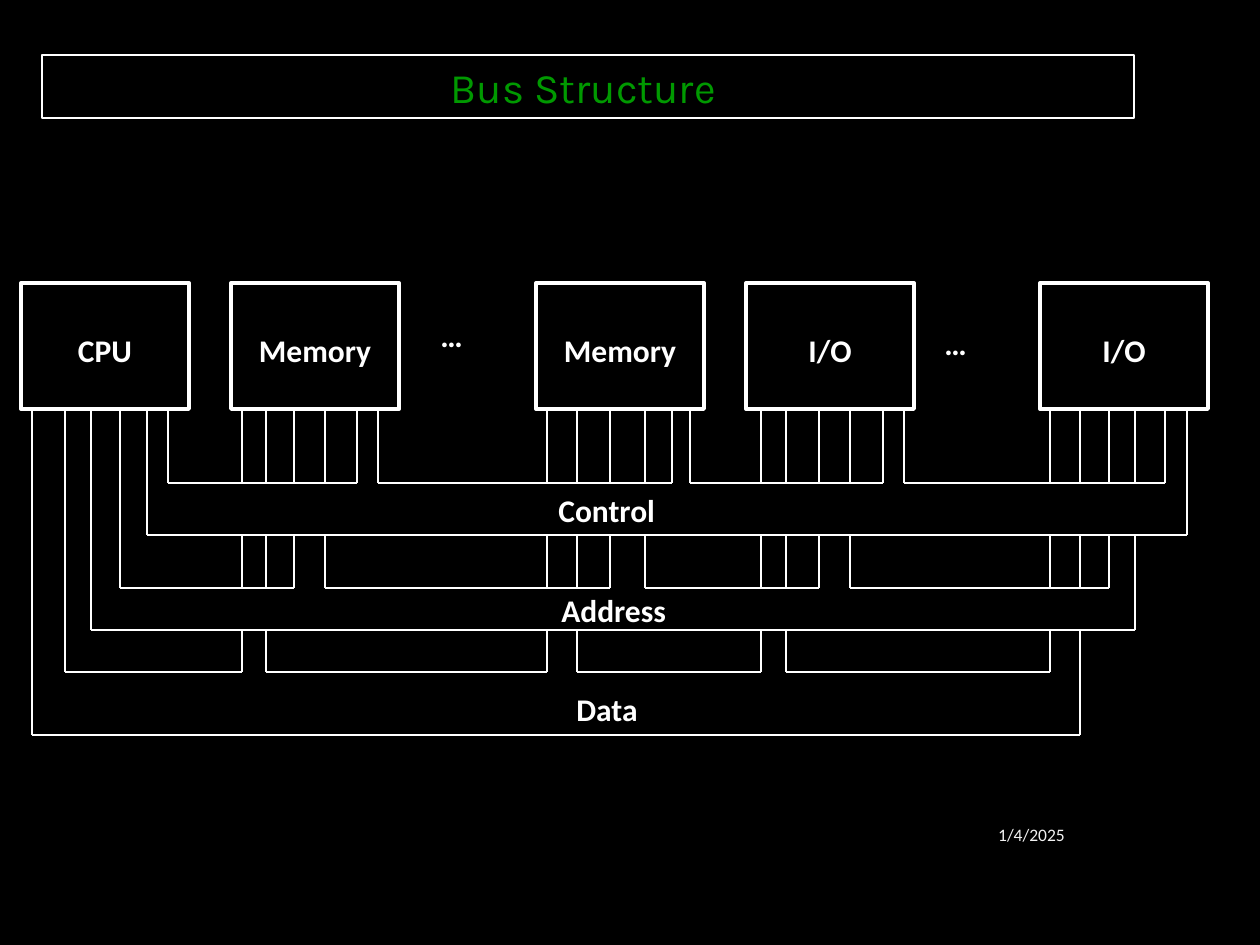
import collections

import pptx
import pptx.dml.color
import pptx.enum.shapes
import pptx.enum.text
import pptx.oxml.ns
import pptx.util
from lxml import etree

EMU_PER_PX = 914400 / 126
ALIGN = pptx.enum.text.PP_ALIGN
ANCHOR = pptx.enum.text.MSO_ANCHOR

THEME = {
    "background": "000000", "line": "FFFFFF", "text": "FFFFFF",
    "title": "009900", "date": "F2F2F2",
    "body_font": "Calibri", "title_font": "Karla",
    "title_size": 24, "label_size": 18, "date_size": 10,
    "frame_width": 2.25, "wire_width": 0.75,
}

Box = collections.namedtuple("Box", "left top width height")
Device = collections.namedtuple("Device", "label left wires")
Bus = collections.namedtuple("Bus", "label top rail bottom taps label_left label_top")

DEVICE_TOP, DEVICE_WIDTH, DEVICE_HEIGHT = 283, 168, 126
DEVICE_BOTTOM = DEVICE_TOP + DEVICE_HEIGHT

# Wires are offsets from the left edge of the device.
DEVICES = [
    Device("CPU", 21, (11, 44, 70, 99, 126, 147)),
    Device("Memory", 231, (11, 35, 63, 94, 126, 147)),
    Device("Memory", 536, (11, 41, 74, 109, 136, 154)),
    Device("I/O", 746, (15, 40, 73, 104, 137, 158)),
    Device("I/O", 1040, (10, 40, 69, 95, 125, 147)),
]
# Each bus taps the first wires of a device; the rest end at a bus above.
BUSES = [
    Bus("Control", DEVICE_BOTTOM, 483, 535, 6, 546, 485),
    Bus("Address", 535, 588, 630, 4, 549, 585),
    Bus("Data", 630, 672, 735, 2, 564, 684),
]
ELLIPSES = [Box(428, 310, 57, 50), Box(932, 318, 57, 50)]


def px(length):
    return pptx.util.Emu(round(length * EMU_PER_PX))


def color(name):
    return pptx.dml.color.RGBColor.from_string(THEME[name])


def place(box):
    return [px(length) for length in box]


def apply_format(target, values):
    for name, value in values.items():
        setattr(target, name, value)


def write_text(shape, text, ink="text", font="body_font", size="label_size",
               bold=True, align=ALIGN.LEFT, anchor=ANCHOR.TOP, wrap=True):
    frame = shape.text_frame
    apply_format(frame, {"word_wrap": wrap, "vertical_anchor": anchor})
    paragraph = frame.paragraphs[0]
    paragraph.alignment = align
    run = paragraph.add_run()
    run.text = text
    apply_format(run.font, {"name": THEME[font], "bold": bold,
                            "size": pptx.util.Pt(THEME[size])})
    run.font.color.rgb = color(ink)


def add_label(slide, box, text, **formats):
    write_text(slide.shapes.add_textbox(*place(box)), text, **formats)


def add_frame(slide, box, width):
    """Draw an unfilled rectangle."""
    shape = slide.shapes.add_shape(
        pptx.enum.shapes.MSO_SHAPE.RECTANGLE, *place(box))
    shape.shadow.inherit = False
    shape.fill.background()
    shape.line.color.rgb = color("line")
    shape.line.width = pptx.util.Pt(THEME[width])
    return shape


def add_wire(slide, x1, y1, x2, y2):
    wire = slide.shapes.add_connector(
        pptx.enum.shapes.MSO_CONNECTOR.STRAIGHT, px(x1), px(y1), px(x2), px(y2))
    wire.line.color.rgb = color("line")
    wire.line.width = pptx.util.Pt(THEME["wire_width"])
    properties = wire.element.find(pptx.oxml.ns.qn("p:spPr"))
    etree.SubElement(properties, pptx.oxml.ns.qn("a:effectLst"))


def add_title(slide, box):
    shape = add_frame(slide, box, "wire_width")
    shape.text_frame.margin_right = px(22)
    write_text(shape, "Bus Structure", ink="title", font="title_font",
               size="title_size", bold=False, align=ALIGN.CENTER,
               anchor=ANCHOR.MIDDLE)


def add_device(slide, box, label):
    add_frame(slide, box, "frame_width")
    add_label(slide, Box(box.left, box.top + 42, box.width, 50), label,
              align=ALIGN.CENTER)


def add_bus(slide, bus, devices):
    """Draw a bus between its rail and its bottom edge.

    The rail runs from the last tap of a device to the last but one of the next.
    """
    cpu, *others = [[device.left + x for x in device.wires] for device in devices]
    first = len(cpu) - sum(b.taps == bus.taps or b.taps > bus.taps for b in BUSES) * 2
    outer, inner = cpu[first:first + 2]
    taps = [xs[:bus.taps] for xs in others]
    right = taps[-1].pop()

    add_wire(slide, outer, DEVICE_BOTTOM, outer, bus.bottom)
    add_wire(slide, inner, DEVICE_BOTTOM, inner, bus.rail)
    for x in sum(taps, []):
        add_wire(slide, x, bus.top, x, bus.rail)
    add_wire(slide, right, bus.top, right, bus.bottom)
    add_wire(slide, outer, bus.bottom, right, bus.bottom)

    starts = [inner] + [xs[-1] for xs in taps[:-1]]
    ends = [xs[-2] for xs in taps[:-1]] + [taps[-1][-1]]
    for start, end in zip(starts, ends):
        add_wire(slide, start, bus.rail, end, bus.rail)
    add_label(slide, Box(bus.label_left, bus.label_top, 140, 50), bus.label,
              wrap=False)


def main():
    presentation = pptx.Presentation()
    apply_format(presentation, {"slide_width": px(1260), "slide_height": px(945)})
    slide = presentation.slides.add_slide(presentation.slide_layouts[6])
    slide.background.fill.solid()
    slide.background.fill.fore_color.rgb = color("background")

    add_label(slide, Box(794, 810, 283, 50), "1/4/2025", ink="date",
              size="date_size", bold=False, align=ALIGN.RIGHT,
              anchor=ANCHOR.MIDDLE)
    for device in DEVICES:
        add_device(slide, Box(device.left, DEVICE_TOP, DEVICE_WIDTH, DEVICE_HEIGHT),
                   device.label)
    for box in ELLIPSES:
        add_label(slide, box, "…", wrap=False)
    for bus in BUSES:
        add_bus(slide, bus, DEVICES)
    add_title(slide, Box(42, 55, 1092, 63))
    presentation.save("out.pptx")


if __name__ == "__main__":
    main()
